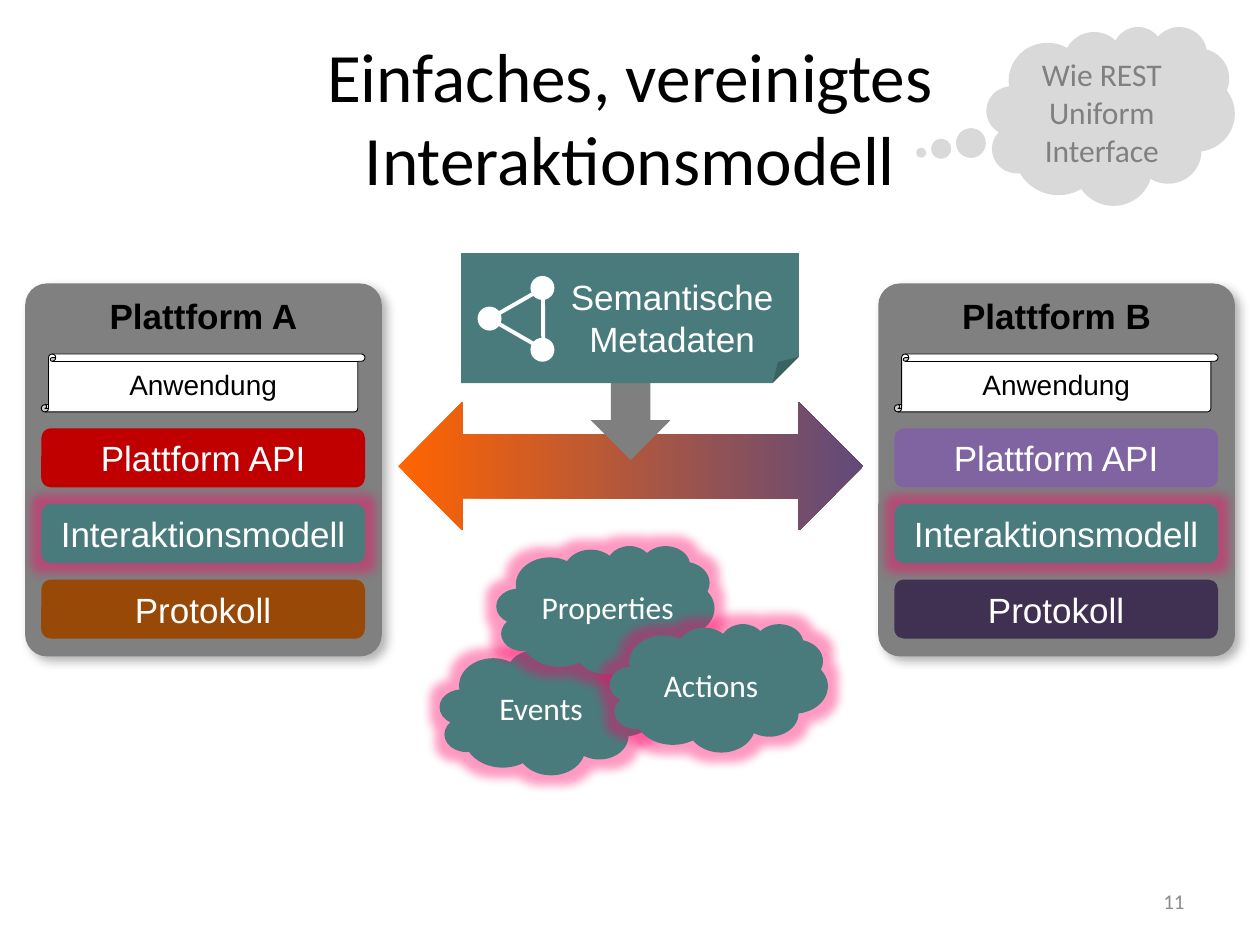
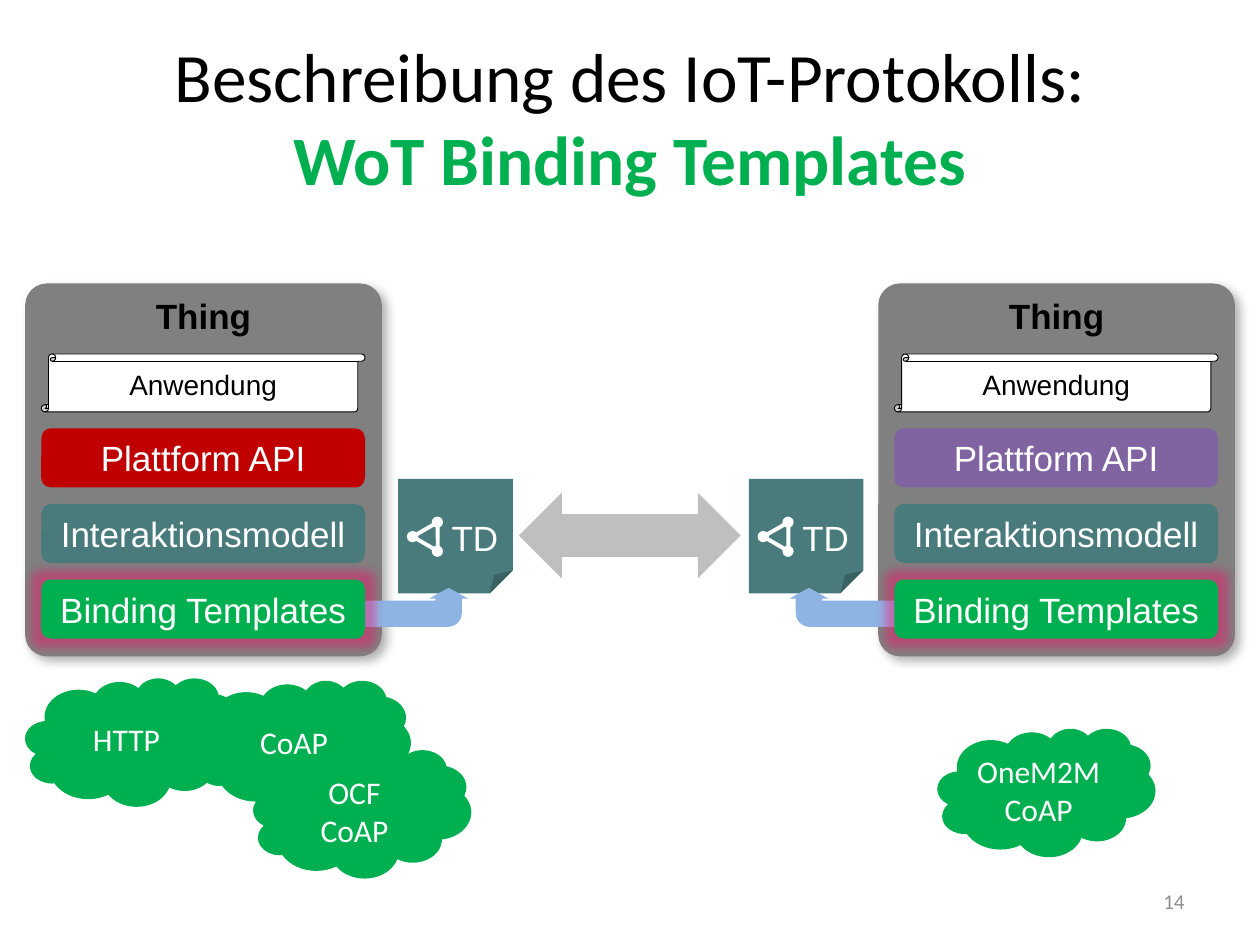
from lxml import etree
from pptx import Presentation
from pptx.dml.color import RGBColor
from pptx.enum.shapes import MSO_SHAPE as Preset
from pptx.enum.text import MSO_ANCHOR as Anchor, MSO_AUTO_SIZE as AutoSize, PP_ALIGN as Align
from pptx.oxml import parse_xml
from pptx.oxml.ns import nsdecls, qn
from pptx.util import Pt

# Colours
WHITE = RGBColor(0xFF, 0xFF, 0xFF)
BLACK = RGBColor(0, 0, 0)
TEAL = RGBColor(0x4A, 0x7B, 0x7C)
GREEN = RGBColor(0x00, 0xB0, 0x50)
RED = RGBColor(0xC0, 0x00, 0x00)
PURPLE = RGBColor(0x80, 0x64, 0xA2)
DARK_PURPLE = RGBColor(0x40, 0x31, 0x52)
BROWN = RGBColor(0x98, 0x48, 0x07)
PANEL_GREY = RGBColor(0x80, 0x80, 0x80)
ARROW_GREY = RGBColor(0x7F, 0x7F, 0x7F)
PALE_GREY = RGBColor(0xD9, 0xD9, 0xD9)
LIGHT_GREY = RGBColor(0xBF, 0xBF, 0xBF)
NUMBER_GREY = RGBColor(0x8C, 0x8C, 0x8C)
ORANGE = RGBColor(0xFF, 0x64, 0x00)
VIOLET = RGBColor(0x60, 0x4A, 0x7B)
BLUE = RGBColor(0x8E, 0xB4, 0xE3)
PINK = RGBColor(0xFF, 0x00, 0x66)

# Shared geometry, in points
PANEL_LEFTS = (14.4, 501.9)
PANEL_TOP = 162
LAYER_INDENT = 9.2
LAYER_WIDTH, LAYER_HEIGHT = 185, 33.8
FIRST_LAYER_TOP, LAYER_PITCH = 244.8, 43.2
API_ROW, MODEL_ROW, PROTOCOL_ROW = range(3)
API_FILLS = (RED, PURPLE)
DEFAULT_INSETS = (7.2, 3.6, 7.2, 3.6)


def add_span(para, text, size, color, font, bold=False):
    span = para.add_run()
    span.text = text
    span.font.name = font
    span.font.size = Pt(size)
    span.font.bold = bold
    span.font.color.rgb = color


def write(shape, text, size=20, color=WHITE, font="Arial", bold=False, wrap=False,
          anchor=Anchor.MIDDLE, align=Align.CENTER, insets=DEFAULT_INSETS):
    """Fill a shape: a newline starts a paragraph, a vertical tab breaks a line."""
    frame = shape.text_frame
    frame.word_wrap = wrap
    frame.vertical_anchor = anchor
    (frame.margin_left, frame.margin_top,
     frame.margin_right, frame.margin_bottom) = map(Pt, insets)
    for index, line in enumerate(text.split("\n")):
        para = frame.add_paragraph() if index else frame.paragraphs[0]
        para.alignment = align
        for part_index, part in enumerate(line.split("\v")):
            if part_index:
                para.add_line_break()
            add_span(para, part, size, color, font, bold)


def adjust(shape, values):
    """Set the guides in XML, as folded corners offer no adjustments."""
    geometry = shape._element.spPr.find(qn("a:prstGeom"))
    for guides in geometry.findall(qn("a:avLst")):
        geometry.remove(guides)
    guides = etree.SubElement(geometry, qn("a:avLst"))
    for number, value in enumerate(values, 1):
        name = f"adj{number}" if len(values) > 1 else "adj"
        etree.SubElement(guides, qn("a:gd"), name=name, fmla=f"val {round(value * 100000)}")


def draw(shapes, preset, left, top, width, height, fill=None, line=None,
         line_width=0.5, rotation=0, adjustments=()):
    shape = shapes.add_shape(preset, Pt(left), Pt(top), Pt(width), Pt(height))
    shape.shadow.inherit = False
    shape.rotation = rotation
    if adjustments:
        adjust(shape, adjustments)
    if fill is None:
        shape.fill.background()
    else:
        shape.fill.solid()
        shape.fill.fore_color.rgb = fill
    if line is None:
        shape.line.fill.background()
    else:
        shape.line.color.rgb = line
        shape.line.width = Pt(line_width)
    return shape


def add_effect(shape, tag, color, alpha, **attributes):
    effects = shape._element.spPr.find(qn("a:effectLst"))
    effect = parse_xml(
        f'<a:{tag} {nsdecls("a")}><a:srgbClr val="{color}">'
        f'<a:alpha val="{alpha * 1000}"/></a:srgbClr></a:{tag}>')
    for name, value in attributes.items():
        effect.set(name, str(int(value)) if name != "algn" else value)
    effects.append(effect)


def add_glow(shape):
    add_effect(shape, "glow", PINK, 40, rad=Pt(11))


def add_page(deck, number, title_spans):
    """Title-only page; each title span takes a line of its own."""
    page = deck.slides.add_slide(deck.slide_layouts[5])
    title = page.shapes.title
    title.left, title.top, title.width, title.height = map(Pt, (36, 21.6, 648, 90))
    frame = title.text_frame
    frame.auto_size = AutoSize.NONE
    frame.vertical_anchor = Anchor.MIDDLE
    para = frame.paragraphs[0]
    para.alignment = Align.CENTER
    for index, (text, color, bold) in enumerate(title_spans):
        if index:
            para.add_line_break()
        add_span(para, text, 39.6, color, "Calibri", bold)
    box = page.shapes.add_textbox(Pt(516), Pt(500.5), Pt(168), Pt(28.8))
    write(box, str(number), 12, NUMBER_GREY, "Calibri", wrap=True, align=Align.RIGHT)
    return page


def add_panel(page, left, name):
    """Grey platform panel with its name and the application scroll."""
    panel = draw(page.shapes, Preset.ROUNDED_RECTANGLE, left, PANEL_TOP, 203.8, 213.1,
                 PANEL_GREY, adjustments=[0.061])
    add_effect(panel, "outerShdw", BLACK, 30, blurRad=Pt(6), dist=Pt(4),
               dir=45 * 60000, algn="tl", rotWithShape=0)
    write(panel, name, color=BLACK, bold=True, anchor=Anchor.TOP,
          insets=(7.2, 2.9, 7.2, 5.8))
    scroll = draw(page.shapes, Preset.VERTICAL_SCROLL, left + LAYER_INDENT, 202.3,
                  LAYER_WIDTH, 33.1, WHITE, BLACK)
    write(scroll, "Anwendung", 16, BLACK)


def add_layer(page, panel_left, row, text, fill, glow=False):
    layer = draw(page.shapes, Preset.ROUNDED_RECTANGLE, panel_left + LAYER_INDENT,
                 FIRST_LAYER_TOP + row * LAYER_PITCH, LAYER_WIDTH, LAYER_HEIGHT, fill)
    write(layer, text)
    if glow:
        add_glow(layer)


def add_cloud(page, left, top, text, fill, glow=False, insets=DEFAULT_INSETS):
    cloud = draw(page.shapes, Preset.CLOUD, left, top, 124.6, 73.4, fill)
    write(cloud, text, 18, font="Calibri", insets=insets)
    if glow:
        add_glow(cloud)


def add_note(page, left, top, width, height, text, insets, icon_offset, icon_scale):
    """Folded note with a three-node graph icon, grouped."""
    shapes = page.shapes.add_group_shape().shapes
    note = draw(shapes, Preset.FOLDED_CORNER, left, top, width, height, TEAL,
                adjustments=[0.202])
    write(note, text, insets=insets)

    def icon_part(preset, x, y, part_width, part_height, **style):
        draw(shapes, preset, left + icon_offset[0] + x * icon_scale,
             top + icon_offset[1] + y * icon_scale,
             part_width * icon_scale, part_height * icon_scale, **style)

    icon_part(Preset.ISOSCELES_TRIANGLE, 12.2, 5, 35.3, 30.2,
              line=WHITE, line_width=2.25, rotation=30)
    for x, y in ((30.2, 0), (0, 17.5), (30.2, 35.3)):
        icon_part(Preset.OVAL, x, y, 13.7, 13.7, fill=WHITE)


def add_bent_arrow(page, left, rotation, **flips):
    arrow = draw(page.shapes, Preset.BENT_ARROW, left, 316.8, 22.3, 60.5, BLUE,
                 rotation=rotation, adjustments=[0.673, 0.5, 0.276, 0.352])
    frame = arrow._element.spPr.find(qn("a:xfrm"))
    for name, value in flips.items():
        frame.set(name, value)


def build_interaction_page(deck):
    page = add_page(deck, 11, [("Einfaches, vereinigtes Interaktionsmodell", BLACK, False)])
    add_cloud(page, 251.3, 369.4, "Events", TEAL, glow=True)

    # Platforms and their shared interaction model
    for left, name in zip(PANEL_LEFTS, ("Plattform A", "Plattform B")):
        add_panel(page, left, name)
        add_layer(page, left, MODEL_ROW, "Interaktionsmodell", TEAL, glow=True)
    add_cloud(page, 283.7, 311.8, "Properties", TEAL, glow=True, insets=(11.5, 3.6, 0, 3.6))
    add_cloud(page, 348.5, 356.4, "Actions", TEAL, glow=True)
    for left, api_fill, protocol_fill in zip(PANEL_LEFTS, API_FILLS, (BROWN, DARK_PURPLE)):
        add_layer(page, left, API_ROW, "Plattform API", api_fill)
        add_layer(page, left, PROTOCOL_ROW, "Protokoll", protocol_fill)

    # Thought bubble
    bubble = draw(page.shapes, Preset.CLOUD_CALLOUT, 563.8, 15.1, 141.8, 102.2,
                  PALE_GREY, adjustments=[-0.764, 0.206])
    write(bubble, "Wie REST Uniform Interface", 18, PANEL_GREY, "Calibri", wrap=True)

    # Exchange between the platforms
    exchange = draw(page.shapes, Preset.LEFT_RIGHT_ARROW, 227.5, 229.7, 265.7, 73.4)
    exchange.fill.gradient()
    exchange.fill.gradient_angle = 0
    for stop, color, position in zip(exchange.fill.gradient_stops, (ORANGE, VIOLET), (0, 1)):
        stop.color.rgb = color
        stop.position = position
    draw(page.shapes, Preset.DOWN_ARROW, 337.7, 184.3, 45.4, 78.5, ARROW_GREY)
    add_note(page, 263.5, 144.7, 193, 74.2, "Semantische\nMetadaten",
             (48.2, 17.3, 0, 2.9), icon_offset=(9.4, 13), icon_scale=1)


def build_binding_page(deck):
    page = add_page(deck, 14, [("Beschreibung des IoT-Protokolls:", BLACK, False),
                               ("WoT Binding Templates", GREEN, True)])
    for left in PANEL_LEFTS:
        add_panel(page, left, "Thing")
        add_layer(page, left, MODEL_ROW, "Interaktionsmodell", TEAL)

    # Thing descriptions and the exchange between them
    draw(page.shapes, Preset.LEFT_RIGHT_ARROW, 296.6, 281.5, 126.7, 49, LIGHT_GREY)
    for left in (427.9, 227.5):
        add_note(page, left, 273.6, 65.5, 65.5, "TD", (22.3, 14.4, 0, 0),
                 icon_offset=(5, 21.6), icon_scale=0.47)
    add_bent_arrow(page, 226.1, 270, flipV="1")
    add_bent_arrow(page, 470.2, 90, flipH="1", flipV="1")

    # Highlighted bindings and the platform interfaces
    for left, api_fill in zip(PANEL_LEFTS, API_FILLS):
        add_layer(page, left, PROTOCOL_ROW, "Binding Templates", GREEN, glow=True)
        add_layer(page, left, API_ROW, "Plattform API", api_fill)

    # Protocols
    for left, top, protocol in ((535.7, 416.2, "OneM2M\vCoAP"), (14.4, 387.4, "HTTP"),
                                (110.2, 388.8, "CoAP"), (144.7, 428.4, "OCF\vCoAP")):
        add_cloud(page, left, top, protocol, GREEN)


def main():
    deck = Presentation()
    deck.slide_width, deck.slide_height = Pt(720), Pt(540)
    build_interaction_page(deck)
    build_binding_page(deck)
    deck.save("out.pptx")


if __name__ == "__main__":
    main()
